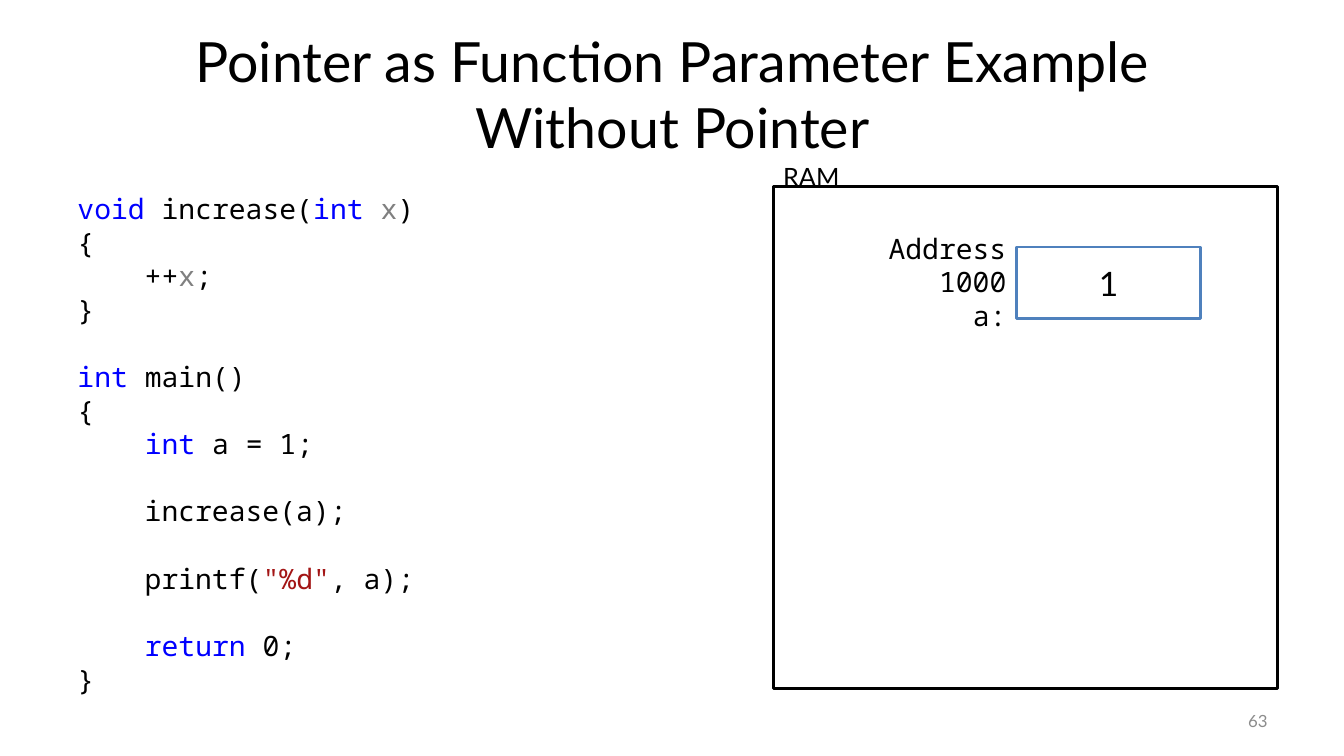
from pptx import Presentation
from pptx.dml.color import RGBColor as Rgb
from pptx.enum.shapes import MSO_SHAPE as Shape
from pptx.enum.text import MSO_ANCHOR as Anchor, PP_ALIGN as Align
from pptx.util import Inches, Pt

HUES = {"ink": "000000", "key": "0000FF", "arg": "808080", "text": "A31515",
        "page": "8C8C8C", "edge": "4F81BD", "fill": "FFFFFF"}
SANS, MONO = "Lato", "Noto Sans Mono"
LEAD = 24

CODE = [
    [("void ", "key"), "increase(", ("int ", "key"), ("x", "arg"), ")"],
    ["{"],
    ["    ++", ("x", "arg"), ";"],
    ["}"],
    [],
    [("int ", "key"), "main()"],
    ["{"],
    ["    ", ("int", "key"), " a = 1;"],
    [],
    ["    increase(a);"],
    [],
    ["    printf(", ('"%d"', "text"), ", a);"],
    [],
    ["    ", ("return", "key"), " 0;"],
    ["}"],
]


def hue(name):
    return Rgb.from_string(HUES[name])


def write(shape, lines, size=20, font=SANS, color="ink", align=Align.LEFT,
          anchor=Anchor.TOP, lead=None):
    frame = shape.text_frame
    frame.word_wrap = True
    frame.vertical_anchor = anchor
    para, gap = None, 0
    for line in lines:
        if not line:
            gap += lead
            continue
        para = frame.add_paragraph() if para else frame.paragraphs[0]
        para.alignment = align
        if lead:
            para.line_spacing = Pt(lead)
        if gap:
            para.space_before = Pt(gap)
        gap = 0
        for part in line:
            words, tone = (part, color) if isinstance(part, str) else part
            for i, piece in enumerate(words.split("\n")):
                if i:
                    para.add_line_break()
                run = para.add_run()
                run.text = piece
                run.font.size = Pt(size)
                run.font.name = font
                run.font.color.rgb = hue(tone)


def label(slide, box, lines, **form):
    item = slide.shapes.add_textbox(*map(Inches, box))
    write(item, lines, **form)


def frame(slide, box, edge):
    rect = slide.shapes.add_shape(Shape.RECTANGLE, *map(Inches, box))
    rect.shadow.inherit = False
    rect.fill.solid()
    rect.fill.fore_color.rgb = hue("fill")
    rect.line.color.rgb = hue(edge)
    rect.line.width = Pt(2)
    return rect


def head(slide, box):
    title = slide.shapes.title
    title.left, title.top, title.width, title.height = map(Inches, box)
    write(title, [["Pointer as Function Parameter Example\nWithout Pointer"]],
          size=39.6, align=Align.CENTER, anchor=Anchor.MIDDLE)


def memory(slide, box):
    left, top, wide, high = box
    frame(slide, box, "ink")
    label(slide, (left, top - 0.3, 1.86, 0.4), [["RAM"]], size=18)
    cell = frame(slide, (left + 2.41, top + 0.6, 1.83, 0.71), "edge")
    write(cell, [["1"]], size=24, align=Align.CENTER, anchor=Anchor.MIDDLE)
    label(slide, (left + 0.33, top + 0.56, 2.08, 0.77),
          [["Address 1000"], ["a:"]], font=MONO, align=Align.RIGHT,
          anchor=Anchor.MIDDLE, lead=LEAD)


def main():
    deck = Presentation()
    deck.slide_width, deck.slide_height = Inches(13.33), Inches(7.5)
    slide = deck.slides.add_slide(deck.slide_layouts[5])
    head(slide, (0.67, 0.3, 12, 1.25))
    label(slide, (9.56, 6.95, 3.11, 0.4), [["63"]], size=12, color="page",
          align=Align.RIGHT, anchor=Anchor.MIDDLE)
    memory(slide, (7.67, 1.85, 5, 4.98))
    label(slide, (0.67, 1.85, 6, 5.15), CODE, font=MONO, lead=LEAD)
    deck.save("out.pptx")


if __name__ == "__main__":
    main()
